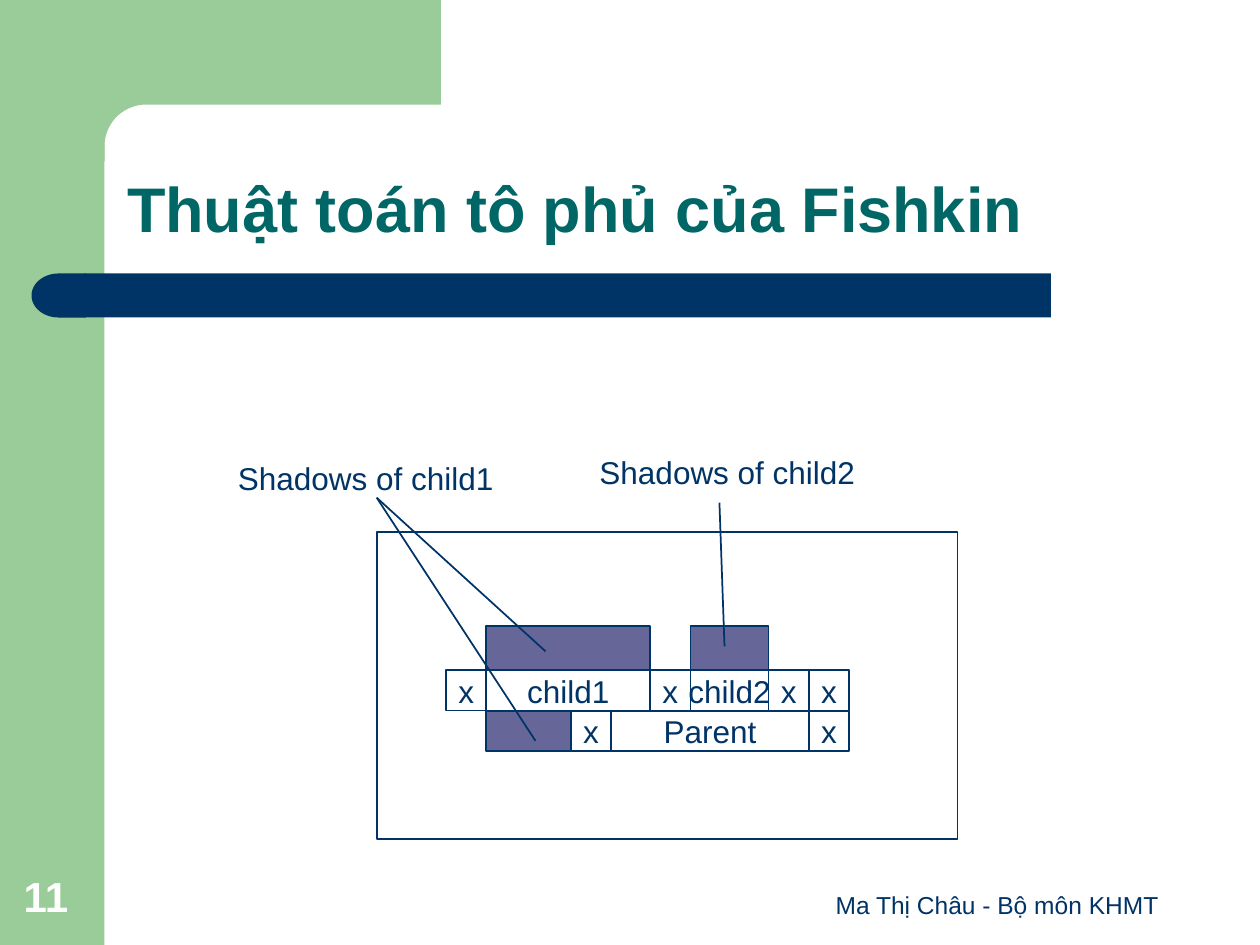
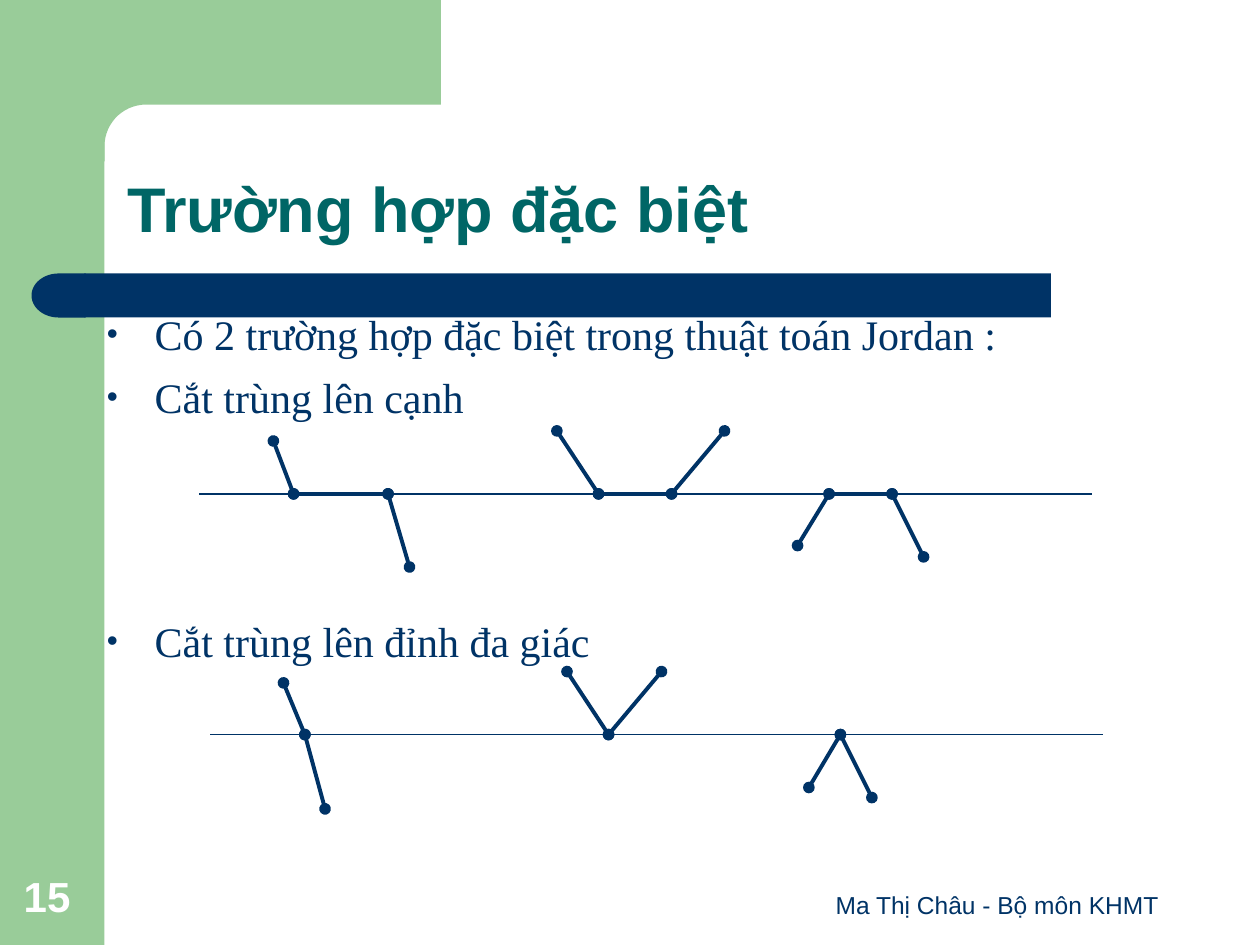
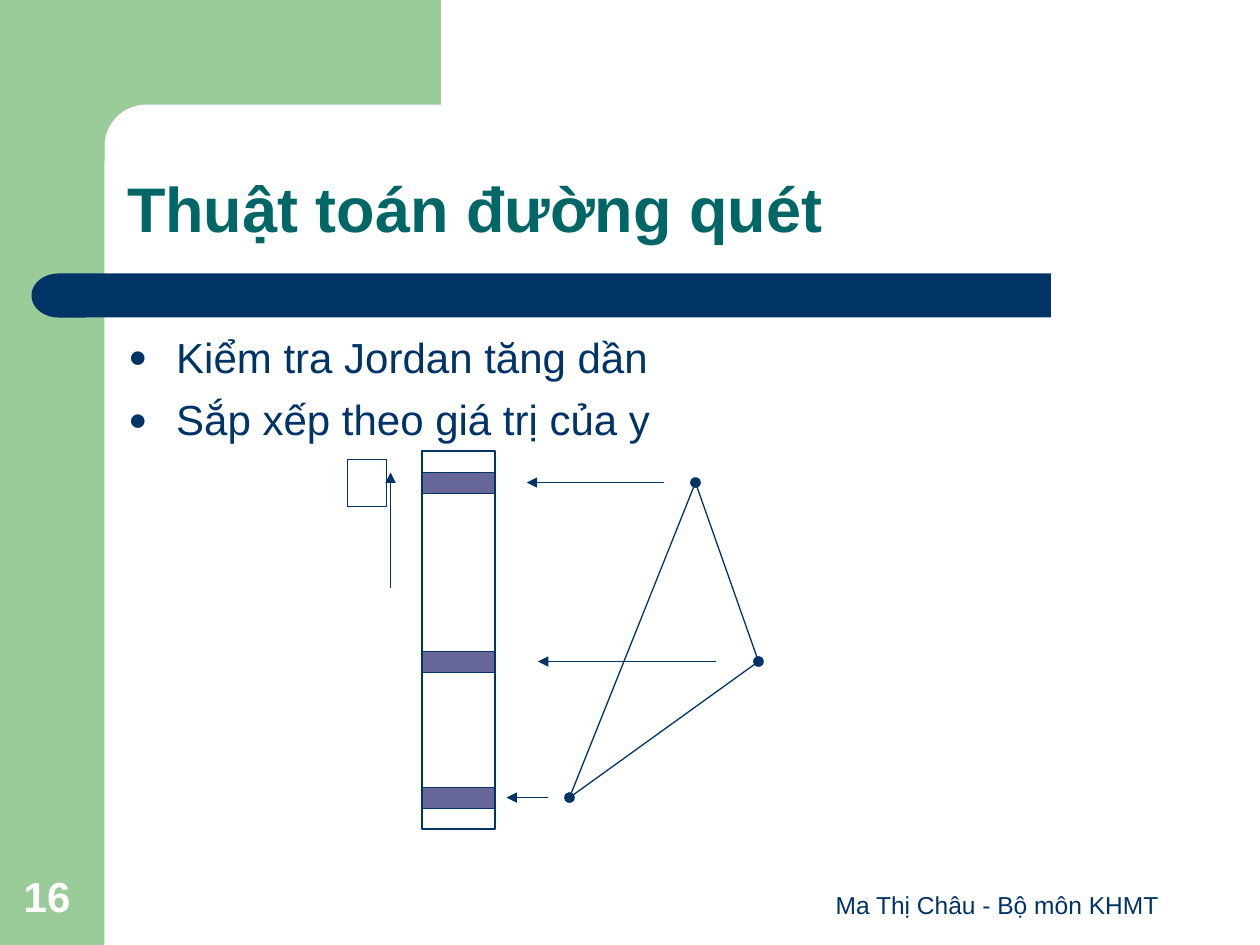
import math
from itertools import pairwise

from lxml import etree
from pptx import Presentation
from pptx.dml import color
from pptx.enum import shapes, text
from pptx.oxml import ns
from pptx.util import Inches, Pt

GREEN, NAVY, TEAL, PURPLE, WHITE = "99CC99", "003366", "006666", "666699", "FFFFFF"
LEFT, CENTER = text.PP_ALIGN.LEFT, text.PP_ALIGN.CENTER
TOP, MIDDLE, BOTTOM = text.MSO_ANCHOR.TOP, text.MSO_ANCHOR.MIDDLE, text.MSO_ANCHOR.BOTTOM
RECT, DELAY = shapes.MSO_SHAPE.RECTANGLE, shapes.MSO_SHAPE.FLOWCHART_DELAY


def rgb(value):
    return color.RGBColor.from_string(value)


def add_xml(parent, tag, **attrs):
    return etree.SubElement(parent, ns.qn(tag), attrs)


class Deck:
    def __init__(self):
        self.prs = Presentation()
        self.prs.slide_width, self.prs.slide_height = Inches(10), Inches(7.5)
        self.s = None

    def slide(self, title, number):
        self.s = self.prs.slides.add_slide(self.prs.slide_layouts[6])
        self.box(0, 0, 0.83, 7.5, GREEN, None)
        self.corner()
        self.box(0.67, 2.17, 7.67, 0.35, NAVY, None)
        self.box(0.25, 2.17, 0.43, 0.35, NAVY, None, kind=DELAY).rotation = 180
        self.label("Ma Thị Châu - Bộ môn KHMT", 6.33, 6.83, 3.17, 0.52, 14, align=CENTER, anchor=BOTTOM)
        self.label(number, 0.09, 6.83, 0.64, 0.53, 24, WHITE, True, anchor=BOTTOM)
        p = self.label(title, 0.91, 0.91, 8.51, 1.09, 36, TEAL, True, anchor=BOTTOM)
        p.line_spacing = 0.9

    def paint(self, sp, fill, line, width=1.0):
        sp.shadow.inherit = False
        if fill:
            sp.fill.solid()
            sp.fill.fore_color.rgb = rgb(fill)
        else:
            sp.fill.background()
        if line:
            sp.line.color.rgb = rgb(line)
            sp.line.width = Pt(width)
        else:
            sp.line.fill.background()

    def corner(self):
        r, cx, cy = 0.33, 1.16, 1.16
        angles = [math.radians(a) for a in range(90, 181, 6)]
        arc = [(cx + r * math.cos(a), cy - r * math.sin(a)) for a in angles]
        points = [(3.5, 0), (3.5, 0.83), *arc, (0.83, 1.28), (0.5, 1.28), (0.5, 0)]
        points = [(Inches(x), Inches(y)) for x, y in points]
        builder = self.s.shapes.build_freeform(*points[0])
        builder.add_line_segments(points[1:])
        self.paint(builder.convert_to_shape(), GREEN, None)

    def box(self, x, y, w, h, fill=None, line=NAVY, width=1.0, words="", kind=RECT):
        sp = self.s.shapes.add_shape(kind, Inches(x), Inches(y), Inches(w), Inches(h))
        self.paint(sp, fill, line, width)
        if words:
            tf = sp.text_frame
            tf.word_wrap = False
            tf.vertical_anchor = MIDDLE
            self.fill_paragraph(tf.paragraphs[0], words, 18, align=CENTER)
        return sp

    def fill_paragraph(self, p, words, size, hue=NAVY, bold=False, font="Arial", align=LEFT):
        p.text = words
        p.alignment = align
        p.font.size, p.font.bold, p.font.name = Pt(size), bold, font
        p.font.color.rgb = rgb(hue)

    def frame(self, x, y, w, h, anchor=TOP, wrap=True):
        tf = self.s.shapes.add_textbox(Inches(x), Inches(y), Inches(w), Inches(h)).text_frame
        tf.word_wrap = wrap
        tf.vertical_anchor = anchor
        return tf

    def label(self, words, x, y, w, h, size, hue=NAVY, bold=False, align=LEFT, anchor=TOP, wrap=True):
        p = self.frame(x, y, w, h, anchor, wrap).paragraphs[0]
        self.fill_paragraph(p, words, size, hue, bold, align=align)
        return p

    def bullets(self, x, y, w, h, items, char, font):
        tf = self.frame(x, y, w, h)
        for i, (words, gap) in enumerate(items):
            p = tf.add_paragraph() if i else tf.paragraphs[0]
            pPr = p._p.get_or_add_pPr()
            pPr.set("marL", str(Inches(0.38)))
            pPr.set("indent", str(Inches(-0.38)))
            add_xml(add_xml(pPr, "a:buClr"), "a:srgbClr", val=NAVY)
            add_xml(pPr, "a:buSzPct", val="75000")
            add_xml(pPr, "a:buFont", typeface="Arial")
            add_xml(pPr, "a:buChar", char=char)
            self.fill_paragraph(p, words, 24, font=font)
            if gap:
                p.space_before = Pt(gap)

    def line(self, start, end, width=1.0, head=None, tail=None):
        ends = [Inches(v) for v in (*start, *end)]
        c = self.s.shapes.add_connector(shapes.MSO_CONNECTOR.STRAIGHT, *ends)
        c.line.color.rgb = rgb(NAVY)
        c.line.width = Pt(width)
        spPr = c._element.spPr
        for tag, kind in (("a:headEnd", head), ("a:tailEnd", tail)):
            if kind:
                add_xml(spPr.get_or_add_ln(), tag, type=kind)
        add_xml(spPr, "a:effectLst")

    def dotted_chain(self, points, width):
        for start, end in pairwise(points):
            self.line(start, end, width, "oval", "oval")


def fishkin(d):
    d.slide("Thuật toán tô phủ của Fishkin", "11")
    d.box(2.99, 4.22, 4.61, 2.44)
    cell = 0.32
    rows = [
        (3.54, 5.32, [("x", cell), ("child1", 1.3), ("x", cell), ("child2", 0.62), ("x", cell), ("x", cell)]),
        (3.86, 5.64, [("", 0.67), ("x", cell), ("Parent", 1.57), ("x", cell)]),
    ]
    for x, y, spans in rows:
        for words, w in spans:
            d.box(x, y, w, cell, None if words else PURPLE, words=words)
            x += w
    for x, w in ((5.48, 0.62), (3.86, 1.3)):
        d.box(x, 4.97, w, 0.35, PURPLE)
    for child, x, y in (("child1", 1.79, 3.59), ("child2", 4.66, 3.55)):
        d.label(f"Shadows of {child}", x, y, 2.23, 0.4, 18, wrap=False)
    d.line((5.71, 3.99), (5.75, 5.13))
    for target in ((4.25, 5.88), (4.33, 5.17)):
        d.line((2.99, 3.95), target)


def special_cases(d):
    d.slide("Trường hợp đặc biệt", "15")
    edge_y, vertex_y = 3.92, 5.83
    d.line((1.58, edge_y), (8.67, edge_y), 0.75)
    d.line((1.67, vertex_y), (8.75, vertex_y), 0.75)
    for chain in (
        [(2.17, 3.5), (2.33, edge_y), (3.08, edge_y), (3.25, 4.5)],
        [(4.42, 3.42), (4.75, edge_y), (5.33, edge_y), (5.75, 3.42)],
        [(6.33, 4.33), (6.58, edge_y), (7.08, edge_y), (7.33, 4.42)],
        [(2.25, 5.42), (2.42, vertex_y), (2.58, 6.42)],
        [(4.5, 5.33), (4.83, vertex_y), (5.25, 5.33)],
        [(6.42, 6.25), (6.67, vertex_y), (6.92, 6.33)],
    ):
        d.dotted_chain(chain, 2.25)
    items = [
        ("Có 2 trường hợp đặc biệt trong thuật toán Jordan :", 0),
        ("Cắt trùng lên cạnh", 7),
        ("Cắt trùng lên đỉnh đa giác", 111),
    ]
    d.bullets(0.75, 2.4, 8.5, 4.5, items, "•", "Times New Roman")


def scan_line(d):
    d.slide("Thuật toán đường quét", "16")
    items = [("Kiểm tra Jordan tăng dần", 0), ("Sắp xếp theo giá trị của y", 7)]
    d.bullets(0.92, 2.58, 8.41, 1.21, items, "●", "Arial")
    d.box(3.35, 3.58, 0.58, 3, width=0.75)
    top, right, low = (5.52, 3.83), (6.02, 5.25), (4.52, 6.33)
    d.dotted_chain([low, top, right, low], 0.75)
    for (_, y), start, end in ((top, 5.27, 4.18), (right, 5.68, 4.27), (low, 4.35, 4.02)):
        d.line((start, y), (end, y), 0.75, tail="triangle")
        d.box(3.35, y - 0.08, 0.58, 0.17, PURPLE, width=0.75)
    d.box(2.76, 3.65, 0.31, 0.37, width=0.75)
    d.line((3.1, 4.67), (3.1, 3.75), 0.75, tail="triangle")


def main():
    d = Deck()
    fishkin(d)
    special_cases(d)
    scan_line(d)
    d.prs.save("out.pptx")


if __name__ == "__main__":
    main()
